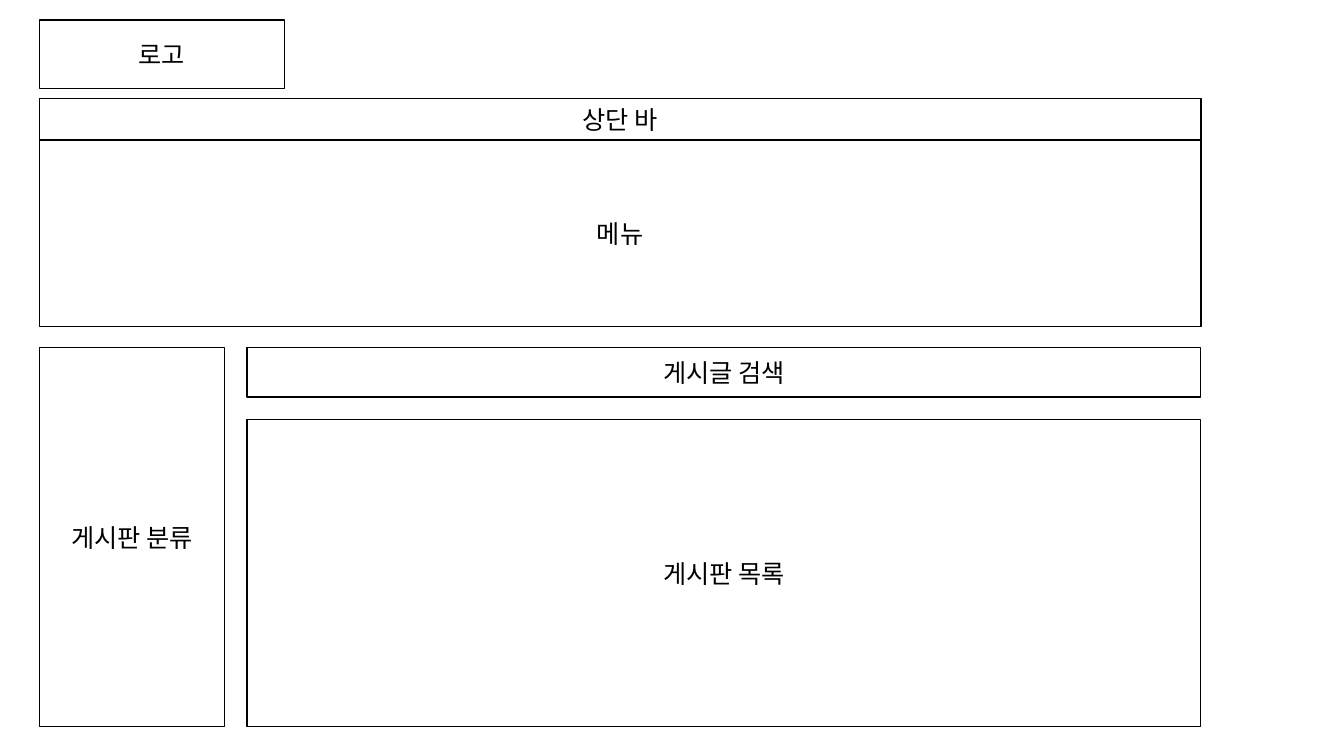
from lxml import etree
from pptx import Presentation
from pptx.dml.color import RGBColor
from pptx.enum.shapes import MSO_SHAPE
from pptx.enum.text import MSO_ANCHOR, PP_ALIGN
from pptx.oxml.ns import qn
from pptx.util import Inches, Pt

FONT = "Noto Sans CJK KR"
LEFT, RIGHT, BOTTOM = 0.39, 11.91, 7.21
CONTENT_LEFT, CONTENT_TOP = 2.45, 3.45
MENU_TOP, LIST_TOP = 1.39, 4.16


def set_color(color_format, hex_color):
    color_format.rgb = RGBColor.from_string(hex_color)


presentation = Presentation()
presentation.slide_width = Inches(13.33)
presentation.slide_height = Inches(7.5)
slide = presentation.slides.add_slide(presentation.slide_layouts[6])

regions = [
    ("로고", LEFT, 0.2, 2.82, 0.88),
    ("상단 바", LEFT, 0.98, RIGHT, MENU_TOP),
    ("메뉴", LEFT, MENU_TOP, RIGHT, 3.24),
    ("게시판 목록", CONTENT_LEFT, LIST_TOP, RIGHT, BOTTOM),
    ("게시판 분류", LEFT, CONTENT_TOP, 2.23, BOTTOM),
    ("게시글 검색", CONTENT_LEFT, CONTENT_TOP, RIGHT, 3.94),
]

for label, left, top, right, bottom in regions:
    shape = slide.shapes.add_shape(
        MSO_SHAPE.RECTANGLE,
        Inches(left), Inches(top), Inches(right - left), Inches(bottom - top),
    )
    shape.shadow.inherit = False
    shape.fill.background()
    set_color(shape.line.color, "000000")
    shape.line.width = Pt(1)

    text_frame = shape.text_frame
    text_frame.word_wrap = True
    text_frame.vertical_anchor = MSO_ANCHOR.MIDDLE
    paragraph = text_frame.paragraphs[0]
    paragraph.alignment = PP_ALIGN.CENTER
    run = paragraph.add_run()
    run.text = label
    run.font.size = Pt(18)
    set_color(run.font.color, "000000")
    run.font.name = FONT
    etree.SubElement(run.font._element, qn("a:ea"), typeface=FONT)

presentation.save("out.pptx")
